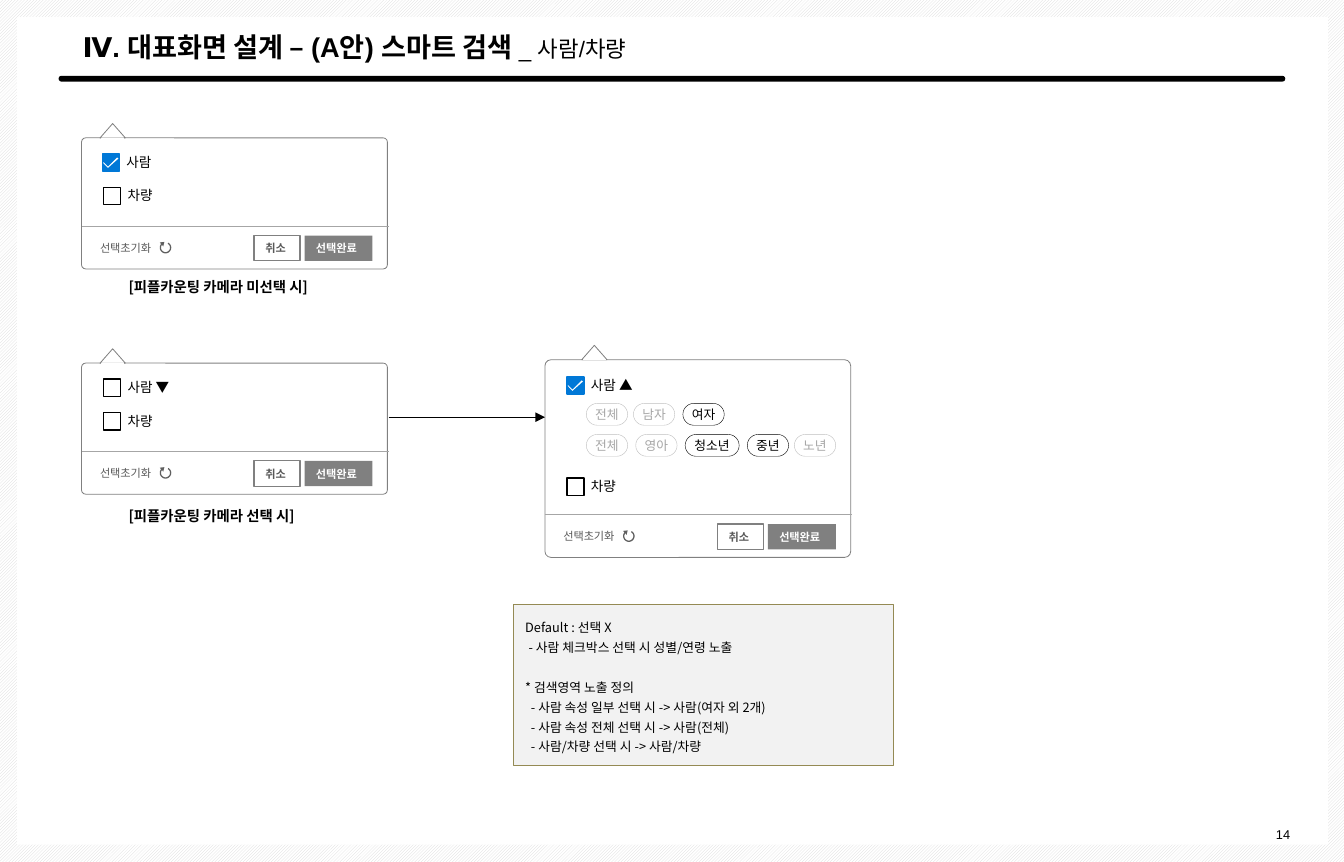
from math import cos, radians, sin

from lxml.etree import SubElement
from pptx import Presentation
from pptx.dml.color import RGBColor
from pptx.enum.dml import MSO_PATTERN
from pptx.enum.shapes import MSO_CONNECTOR, MSO_SHAPE
from pptx.enum.text import MSO_ANCHOR, PP_ALIGN
from pptx.oxml.ns import qn
from pptx.util import Inches, Pt

THEME = {
    "black": RGBColor(0, 0, 0), "white": RGBColor(255, 255, 255),
    "blue": RGBColor(0x00, 0x78, 0xD7), "outline": RGBColor(0x80, 0x80, 0x80),
    "divider": RGBColor(0xA6, 0xA6, 0xA6), "muted": RGBColor(0x59, 0x59, 0x59),
    "pill": RGBColor(0xBF, 0xBF, 0xBF), "hatch": RGBColor(0xD9, 0xD9, 0xD9),
    "icon": RGBColor(0x5F, 0x5F, 0x5F), "note": RGBColor(0xF2, 0xF2, 0xF2),
    "olive": RGBColor(0x94, 0x8A, 0x54),
    "sans": "Arial", "korean": "Noto Sans CJK KR", "label_font": "Roboto",
    "title": 17, "subtitle": 14, "caption": 9, "label": 8.5, "body": 8, "button": 7,
}
CELL = Inches(0.01)  # the grid has 1169 columns and 750 rows
COLUMNS, ROWS = 1169, 750

presentation = Presentation()
presentation.slide_width = COLUMNS * CELL
presentation.slide_height = ROWS * CELL
slide = presentation.slides.add_slide(presentation.slide_layouts[6])


def add_box(preset, left, top, width, height, fill=None, line=None, weight=0.5, round_to=None):
    """Add a preset shape placed in grid cells, with theme colour names."""
    shape = slide.shapes.add_shape(preset, left * CELL, top * CELL, width * CELL, height * CELL)
    shape.shadow.inherit = False
    if round_to is not None:
        shape.adjustments[0] = round_to
    if fill:
        shape.fill.solid()
        shape.fill.fore_color.rgb = THEME[fill]
    else:
        shape.fill.background()
    if line:
        shape.line.color.rgb = THEME[line]
        shape.line.width = Pt(weight)
    else:
        shape.line.fill.background()
    return shape


def write(shape, runs, font, color="black", inset=(10, 5), indent=0, wrap=False,
          align=PP_ALIGN.LEFT, more=False):
    """Write one paragraph of (text, size, bold) runs; more adds it below the first."""
    frame = shape.text_frame
    frame.word_wrap = wrap
    frame.vertical_anchor = MSO_ANCHOR.MIDDLE
    frame.margin_left = frame.margin_right = inset[0] * CELL
    frame.margin_top = frame.margin_bottom = inset[1] * CELL
    paragraph = frame.add_paragraph() if more else frame.paragraphs[0]
    paragraph.alignment = align
    if indent:
        paragraph._p.get_or_add_pPr().set("marL", str(indent * CELL))
    for text, size, bold in runs:
        run = paragraph.add_run()
        run.text = text
        run.font.size = Pt(THEME[size])
        run.font.bold = bold
        run.font.color.rgb = THEME[color]
        run.font.name = THEME[font]
        SubElement(run._r.get_or_add_rPr(), qn("a:ea")).set("typeface", THEME["korean"])
    return paragraph


# Page frame and title
hatching = add_box(MSO_SHAPE.RECTANGLE, 0, 0, COLUMNS, ROWS)
hatching.fill.patterned()
hatching.fill.pattern = MSO_PATTERN.LIGHT_UPWARD_DIAGONAL
hatching.fill.fore_color.rgb = THEME["hatch"]
hatching.fill.back_color.rgb = THEME["white"]
add_box(MSO_SHAPE.RECTANGLE, 15, 15, COLUMNS - 29, ROWS - 30, "white")
add_box(MSO_SHAPE.ROUNDED_RECTANGLE, 51, 66, 1067, 5, "black", round_to=0.5)

title = slide.shapes.add_textbox(62 * CELL, 21 * CELL, 1044 * CELL, 39 * CELL)
write(title, [("Ⅳ. 대표화면 설계 – (A안) 스마트 검색 ", "title", True),
              ("_ 사람/차량", "subtitle", False)], "sans", wrap=True)
page_number = slide.shapes.add_textbox(1083 * CELL, 714 * CELL, 49 * CELL, 24 * CELL)
write(page_number, [("14", "body", False)], "sans", wrap=True, align=PP_ALIGN.RIGHT)

for top, caption in ((237, "[피플카운팅 카메라 미선택 시]"), (436, "[피플카운팅 카메라 선택 시]")):
    caption_box = slide.shapes.add_textbox(102 * CELL, top * CELL, 193 * CELL, 25 * CELL)
    write(caption_box, [(caption, "caption", True)], "korean")

# Filter panels: left, top, height, pointer offset, rows of (x, y, label, checked)
PANEL_WIDTH = 266
panels = [
    (71, 120, 114, 16, [(18, 14, "사람", True), (19, 43, "차량", False)]),
    (71, 316, 114, 16, [(19, 14, "사람 ▼", False), (19, 43, "차량", False)]),
    (474, 313, 172, 32, [(19, 15, "사람 ▲", True), (19, 103, "차량", False)]),
]
CHECK_MARK = [(13, 3), (14, 4), (5, 12), (1, 8), (1, 7), (5, 11)]
RESET_ARROW = ([(5 * cos(radians(a)), 5 * sin(radians(a))) for a in range(220, -61, -10)]
               + [(3.9 * cos(radians(a)), 3.9 * sin(radians(a))) for a in range(-60, 221, 10)]
               + [(-2, -1), (-1, -5), (-5, -4.5)])
lines = []  # from x, to x, y, colour, weight
icons = []  # origin x, origin y, outline, colour

for left, top, height, pointer, rows in panels:
    bottom = top + height
    add_box(MSO_SHAPE.ROUNDED_RECTANGLE, left, top, PANEL_WIDTH, height,
            "white", "outline", round_to=0.031)
    add_box(MSO_SHAPE.ISOSCELES_TRIANGLE, left + pointer, top - 12.5, 22, 12.5, "white", "outline")
    lines.append((left + pointer + 1, left + pointer + 21, top, "white", 0.5))
    lines.append((left, left + PANEL_WIDTH + 1, bottom - 37, "divider", 0.75))

    for x, y, label, checked in rows:
        add_box(MSO_SHAPE.RECTANGLE, left + x, top + y, 15, 15,
                "blue" if checked else "white", "blue" if checked else "black", 1)
        if checked:
            icons.append((left + x, top + y, CHECK_MARK, "white"))
        label_box = slide.shapes.add_textbox(
            (left + x + 21) * CELL, (top + y) * CELL, 42 * CELL, 14 * CELL)
        write(label_box, [(label, "label", False)], "label_font", inset=(0, 0))

    reset = slide.shapes.add_textbox((left + 7) * CELL, (bottom - 29) * CELL, 62 * CELL, 21 * CELL)
    write(reset, [("선택초기화", "button", False)], "sans", "muted", (0, 0), indent=9)
    icons.append((left + 73, bottom - 18.5, RESET_ARROW, "icon"))
    cancel = add_box(MSO_SHAPE.RECTANGLE, left + 150, bottom - 29, 40, 22, "white", "outline", 0.75)
    write(cancel, [("취소", "button", True)], "sans", "muted")
    done = add_box(MSO_SHAPE.RECTANGLE, left + 194, bottom - 29, 59, 22, "outline")
    write(done, [("선택완료", "button", True)], "sans", "white")

for x, y, outline, color in icons:
    points = [((x + dx) * CELL, (y + dy) * CELL) for dx, dy in outline]
    builder = slide.shapes.build_freeform(*points[0], scale=1.0)
    builder.add_line_segments(points[1:], close=True)
    icon = builder.convert_to_shape()
    icon.shadow.inherit = False
    icon.fill.solid()
    icon.fill.fore_color.rgb = THEME[color]
    icon.line.fill.background()

# Gender and age choices: left, width, label, chosen
choices = {
    351: [(510, 36, "전체", False), (551, 36, "남자", False), (594, 36, "여자", True)],
    378: [(510, 36, "전체", False), (553, 36, "영아", False), (596, 47, "청소년", True),
          (650, 36, "중년", True), (691, 36, "노년", False)],
}
for top, pills in choices.items():
    for left, width, label, chosen in pills:
        pill = add_box(MSO_SHAPE.ROUNDED_RECTANGLE, left, top, width, 19,
                       line="black" if chosen else "pill", weight=0.25, round_to=0.5)
        write(pill, [(label, "body", False)], "korean", "black" if chosen else "divider",
              (4, 0), align=PP_ALIGN.CENTER)

# Panel lines, then the arrow to the opened panel
lines.append((338, 474, 363, "black", 0.75))
for start, end, y, color, weight in lines:
    connector = slide.shapes.add_connector(
        MSO_CONNECTOR.STRAIGHT, start * CELL, y * CELL, end * CELL, y * CELL)
    connector.line.color.rgb = THEME[color]
    connector.line.width = Pt(weight)
    if color == "black":
        SubElement(connector.line._get_or_add_ln(), qn("a:tailEnd")).set("type", "triangle")
    SubElement(connector._element.spPr, qn("a:effectLst"))

# Behaviour note: text, indent, points before
note = add_box(MSO_SHAPE.RECTANGLE, 447, 526, 330, 140, "note", "olive", 0.75)
note_lines = [
    ("Default : 선택 X", 0, 0),
    ("- 사람 체크박스 선택 시 성별/연령 노출", 3, 0),
    ("* 검색영역 노출 정의", 0, 12.4),
    ("- 사람 속성 일부 선택 시 -> 사람(여자 외 2개)", 5, 0),
    ("- 사람 속성 전체 선택 시 -> 사람(전체)", 5, 0),
    ("- 사람/차량 선택 시 -> 사람/차량", 5, 0),
]
for index, (text, indent, before) in enumerate(note_lines):
    paragraph = write(note, [(text, "body", False)], "korean", indent=indent,
                      wrap=True, more=index > 0)
    paragraph.line_spacing = 1.3
    if before:
        paragraph.space_before = Pt(before)

presentation.save("out.pptx")
